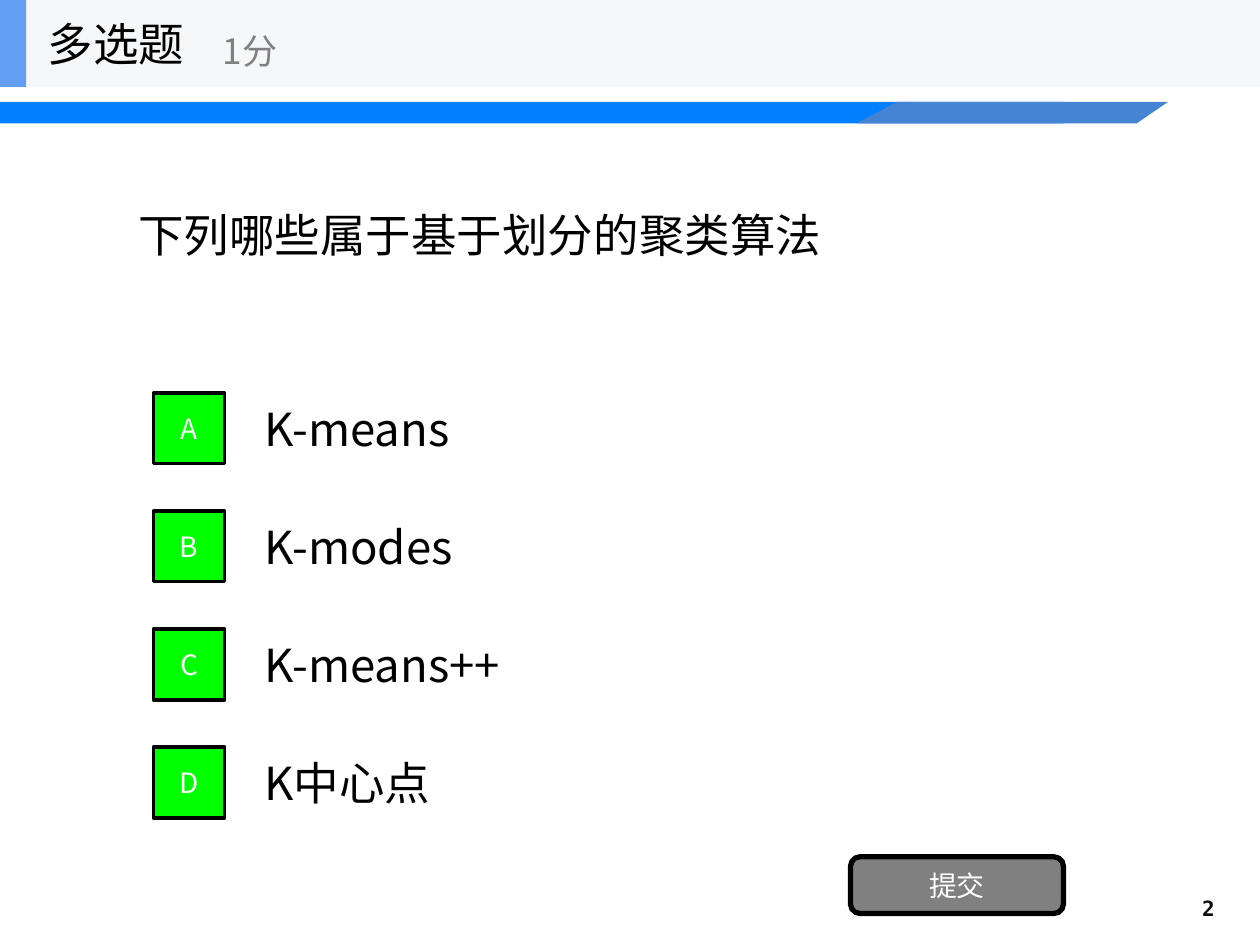
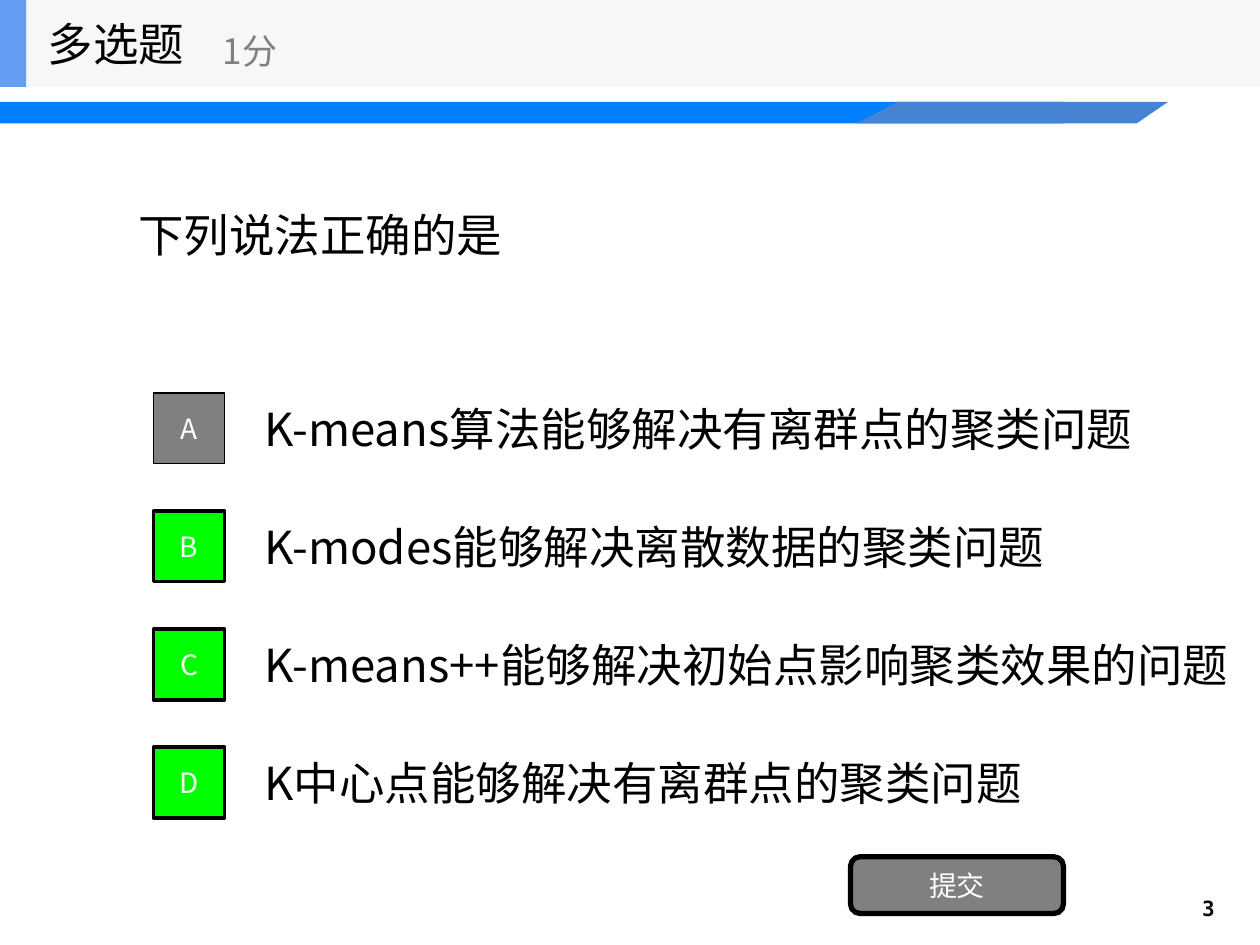
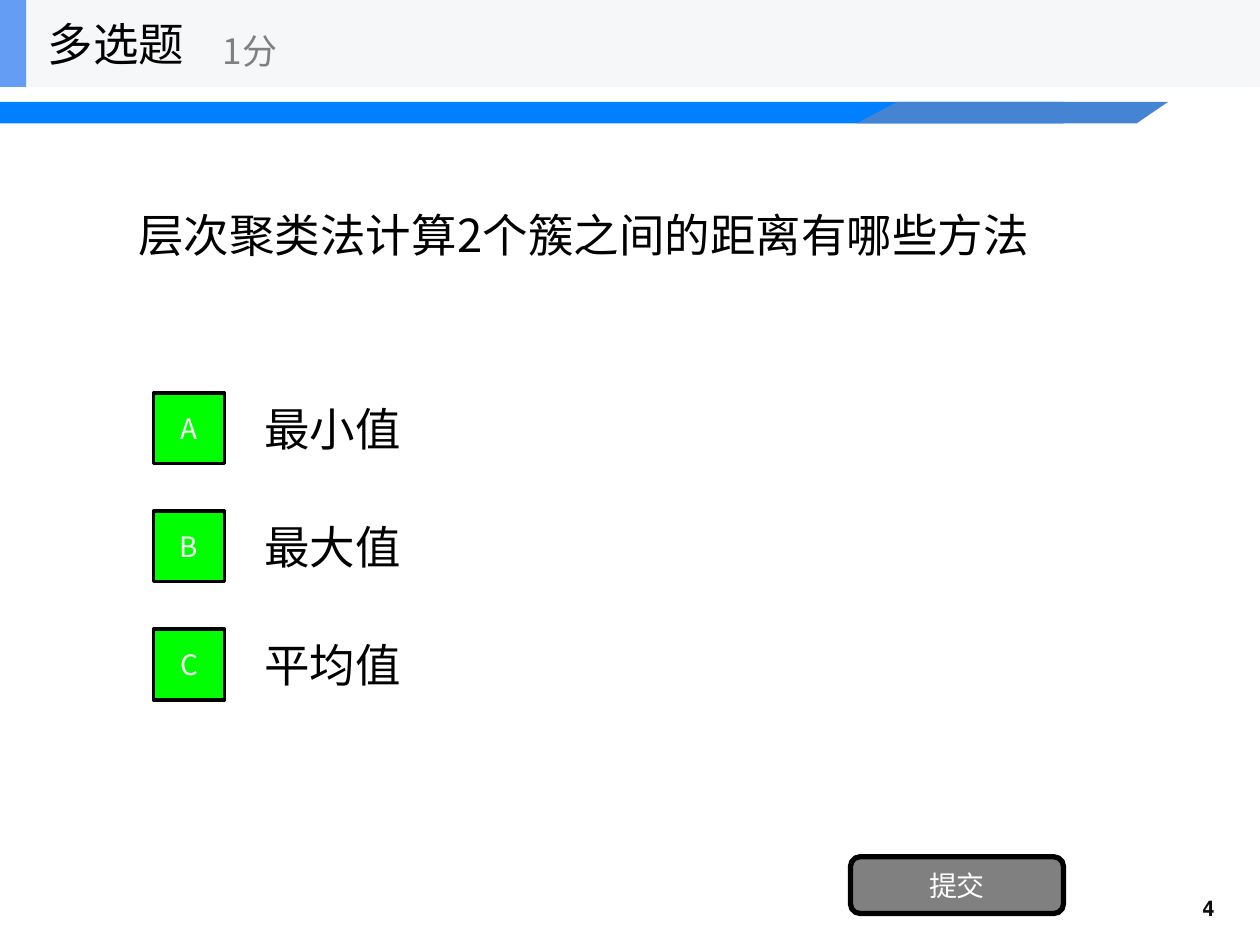
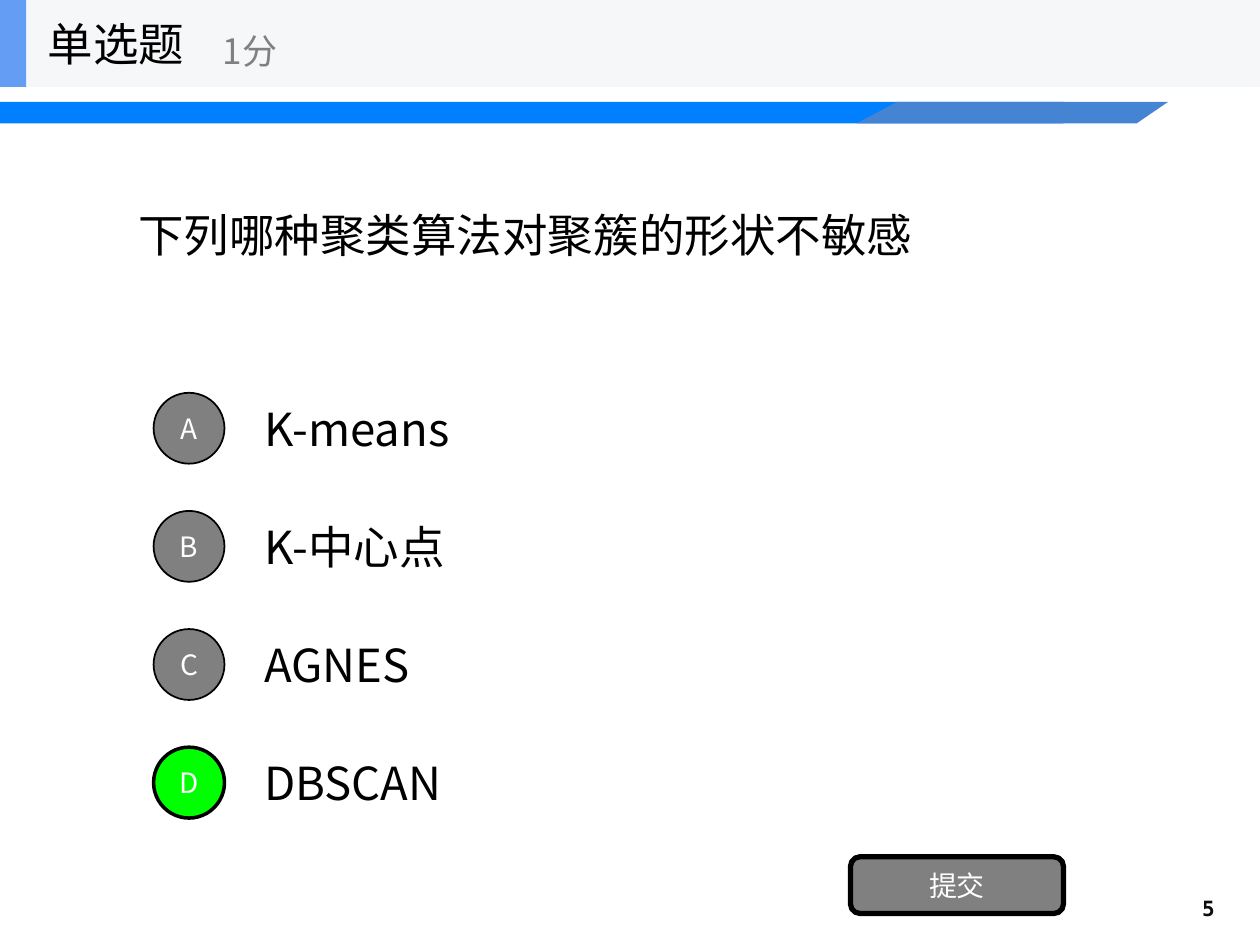
from dataclasses import dataclass

from lxml.etree import SubElement
from pptx import Presentation
from pptx.dml.color import RGBColor
from pptx.enum.shapes import MSO_SHAPE as Preset
from pptx.enum.text import MSO_ANCHOR as Anchor, PP_ALIGN as Align
from pptx.oxml.ns import qn
from pptx.util import Pt

SLIDE_WIDTH, SLIDE_HEIGHT = 720, 540
HEADER_HEIGHT = 49.7
BAND_TOP, BAND_BOTTOM = 58.3, 70.5

OPTION_TOP, OPTION_STEP = 219.4, 67.5
OPTION_HEIGHT, OPTION_WIDTH = 50.6, 504
BADGE_SIZE = 40.5

BLACK, WHITE, GRAY = "000000", "FFFFFF", "808080"
NUMBER_COLOR = "0D0D0D"
CORRECT_COLOR = "00FF00"
HEADER_COLOR, ACCENT_COLOR = "F6F7F8", "639EF4"
BAND_COLOR, BAND_TIP_COLOR = "0080FF", "4584D3"

TEXT_FONT, NUMBER_FONT = "Noto Sans CJK SC", "DejaVu Sans Mono"
TEXT_SIZE, SCORE_SIZE, BUTTON_SIZE, NUMBER_SIZE = 26, 20, 16, 12


@dataclass
class Question:
    kind: str
    text: str
    options: list
    correct: str
    badge: Preset = Preset.RECTANGLE


QUESTIONS = [
    Question("多选题", "下列哪些属于基于划分的聚类算法",
             [("K-means", OPTION_WIDTH), ("K-modes", OPTION_WIDTH),
              ("K-means++", OPTION_WIDTH), ("K中心点", OPTION_WIDTH)],
             "ABCD"),
    Question("多选题", "下列说法正确的是",
             [("K-means算法能够解决有离群点的聚类问题", 528),
              ("K-modes能够解决离散数据的聚类问题", OPTION_WIDTH),
              ("K-means++能够解决初始点影响聚类效果的问题", 590.4),
              ("K中心点能够解决有离群点的聚类问题", OPTION_WIDTH)],
             "BCD"),
    Question("多选题", "层次聚类法计算2个簇之间的距离有哪些方法",
             [("最小值", OPTION_WIDTH), ("最大值", OPTION_WIDTH),
              ("平均值", OPTION_WIDTH)],
             "ABC"),
    Question("单选题", "下列哪种聚类算法对聚簇的形状不敏感",
             [("K-means", OPTION_WIDTH), ("K-中心点", OPTION_WIDTH),
              ("AGNES", OPTION_WIDTH), ("DBSCAN", OPTION_WIDTH)],
             "D", Preset.OVAL),
]


def rgb(color):
    return RGBColor.from_string(color)


def points(*lengths):
    return [Pt(length) for length in lengths]


def write(shape, text, size, color, align=Align.LEFT, font=TEXT_FONT, bold=False):
    """Put one vertically centred run of text into a shape."""
    frame = shape.text_frame
    frame.vertical_anchor = Anchor.MIDDLE
    paragraph = frame.paragraphs[0]
    paragraph.alignment = align
    run = paragraph.add_run()
    run.text = text
    run.font.size = Pt(size)
    run.font.bold = bold
    run.font.color.rgb = rgb(color)
    run.font.name = font
    SubElement(run.font._element, qn("a:ea")).set("typeface", font)


def add_text(shapes, box, text, size=TEXT_SIZE, color=BLACK, wrap=True, **style):
    text_box = shapes.add_textbox(*points(*box))
    text_box.text_frame.word_wrap = wrap
    write(text_box, text, size, color, **style)


def paint(shape, fill, line_width=0):
    """Give a shape a flat fill and, if it has a width, a black outline."""
    shape.shadow.inherit = False
    shape.fill.solid()
    shape.fill.fore_color.rgb = rgb(fill)
    if line_width:
        shape.line.color.rgb = rgb(BLACK)
        shape.line.width = Pt(line_width)
    else:
        shape.line.fill.background()


def add_block(shapes, preset, box, fill, line_width=0):
    shape = shapes.add_shape(preset, *points(*box))
    paint(shape, fill, line_width)
    return shape


def add_button(shapes, preset, box, text, fill, line_width):
    button = add_block(shapes, preset, box, fill, line_width)
    frame = button.text_frame
    frame.margin_left = frame.margin_right = 0
    write(button, text, BUTTON_SIZE, WHITE, Align.CENTER)


def add_band(slide):
    """Draw the blue band with its slanted tip below the header."""
    shapes = slide.shapes.add_group_shape().shapes
    add_block(shapes, Preset.RECTANGLE,
              (0, BAND_TOP, 607.7, BAND_BOTTOM - BAND_TOP), BAND_COLOR)
    builder = shapes.build_freeform(*points(489.6, BAND_BOTTOM), scale=1.0)
    corners = [(649.6, BAND_BOTTOM), (667.4, BAND_TOP), (512.6, BAND_TOP)]
    builder.add_line_segments([points(*corner) for corner in corners], close=True)
    paint(builder.convert_to_shape(), BAND_TIP_COLOR)


def add_header(slide, kind):
    shapes = slide.shapes.add_group_shape().shapes
    for width, color in ((SLIDE_WIDTH, HEADER_COLOR), (15, ACCENT_COLOR)):
        add_block(shapes, Preset.RECTANGLE, (0, 0, width, HEADER_HEIGHT), color)
    add_text(shapes, (20.2, 0, 150, HEADER_HEIGHT), kind, wrap=False)
    add_text(shapes, (120.2, 8.8, 180, 40.5), "1分", SCORE_SIZE, GRAY, wrap=False)


def add_options(slide, question):
    """List the answers, then their lettered badges; correct ones are green."""
    tops = [OPTION_TOP + row * OPTION_STEP for row in range(len(question.options))]
    for top, (text, width) in zip(tops, question.options):
        add_text(slide.shapes, (144, top, width, OPTION_HEIGHT), text)
    for top, letter in zip(tops, "ABCD"):
        fill, line_width = (CORRECT_COLOR, 2) if letter in question.correct else (GRAY, 1)
        badge_top = top + (OPTION_HEIGHT - BADGE_SIZE) / 2
        add_button(slide.shapes, question.badge,
                   (87.75, badge_top, BADGE_SIZE, BADGE_SIZE), letter, fill, line_width)


def add_question_slide(presentation, question, number):
    slide = presentation.slides.add_slide(presentation.slide_layouts[6])
    add_band(slide)
    add_text(slide.shapes, (656.6, 504.7, 44.6, 28.8), str(number), NUMBER_SIZE,
             NUMBER_COLOR, align=Align.RIGHT, font=NUMBER_FONT, bold=True)
    add_text(slide.shapes, (72, HEADER_HEIGHT, 576, 168.5), question.text)
    add_options(slide, question)
    add_button(slide.shapes, Preset.ROUNDED_RECTANGLE, (486, 489.6, 121.7, 32.4),
               "提交", GRAY, 3)
    add_header(slide, question.kind)


def main():
    presentation = Presentation()
    presentation.slide_width, presentation.slide_height = points(SLIDE_WIDTH, SLIDE_HEIGHT)
    for number, question in enumerate(QUESTIONS, start=2):
        add_question_slide(presentation, question, number)
    presentation.save("out.pptx")


if __name__ == "__main__":
    main()
